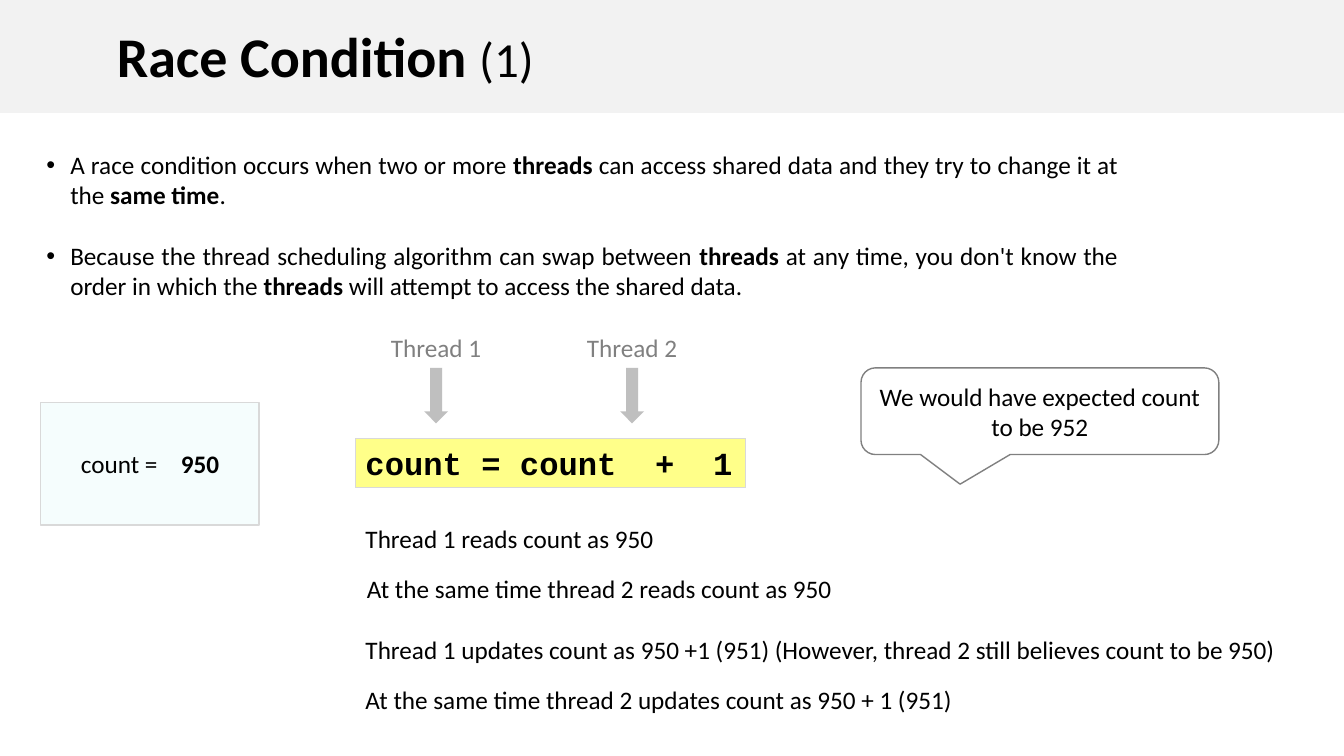
from dataclasses import dataclass

from lxml.etree import SubElement
from pptx import Presentation
from pptx.dml.color import RGBColor
from pptx.enum.shapes import MSO_SHAPE
from pptx.enum.text import MSO_ANCHOR, MSO_AUTO_SIZE, PP_ALIGN
from pptx.oxml.ns import qn
from pptx.shapes.autoshape import Shape
from pptx.slide import Slide
from pptx.text.text import _Paragraph
from pptx.util import Pt

HUES = {
    "ink": "000000", "band": "F2F2F2", "label": "808080", "arrow": "BFBFBF",
    "edge": "D9D9D9", "code": "FFFF89", "count": "F5FDFD", "paper": "FFFFFF",
}


@dataclass(frozen=True)
class Area:
    """Place of an item in points."""

    left: float
    top: float
    width: float
    height: float


@dataclass(frozen=True)
class Style:
    """Look of a text, with asterisks around its bold parts."""

    size: float = 18
    hue: str = "ink"
    font: str = "Calibri"
    align: PP_ALIGN = PP_ALIGN.LEFT


@dataclass(frozen=True)
class Note:
    """One step of the race."""

    text: str
    left: float
    top: float


PLAIN = Style()
MID = Style(align=PP_ALIGN.CENTER)
LABEL = Style(hue="label", align=PP_ALIGN.CENTER)
CODE = Style(size=23, font="Courier New")
THREADS = {"Thread 1": 311.5, "Thread 2": 451.5}
POINTS = [
    "A race condition occurs when two or more *threads* can access shared data "
    "and they try to change it at the *same time*.",
    "Because the thread scheduling algorithm can swap between *threads* at any time, "
    "you don't know the order in which the *threads* will attempt to access the shared data.",
]
NOTES = [
    Note("Thread 1 reads count as 950", 254, 370),
    Note("At the same time thread 2 reads count as 950", 255, 406),
    Note("Thread 1 updates count as 950 +1 (951) "
         "(However, thread 2 still believes count to be 950)", 254, 449.5),
    Note("At the same time thread 2 updates count as 950 + 1 (951)", 254, 485.5),
]


def tint(name: str) -> RGBColor:
    """Return a named colour."""
    return RGBColor.from_string(HUES[name])


def write(para: _Paragraph, text: str, style: Style) -> None:
    """Write text with bold parts into a paragraph."""
    para.alignment = style.align
    para.space_before = Pt(0)
    for order, part in enumerate(text.split("*")):
        if part:
            run = para.add_run()
            run.text = part
            run.font.name, run.font.size = style.font, Pt(style.size)
            run.font.bold = order % 2 == 1
            run.font.color.rgb = tint(style.hue)


def place(shape: Shape, area: Area) -> None:
    """Move and size a shape."""
    shape.left, shape.top = Pt(area.left), Pt(area.top)
    shape.width, shape.height = Pt(area.width), Pt(area.height)


def add_text(slide: Slide, area: Area, text: str, style: Style) -> None:
    """Add a text box of one paragraph."""
    box = slide.shapes.add_textbox(Pt(0), Pt(0), Pt(1), Pt(1))
    place(box, area)
    box.text_frame.word_wrap = style.align != PP_ALIGN.CENTER
    write(box.text_frame.paragraphs[0], text, style)


def add_form(slide: Slide, kind: MSO_SHAPE, area: Area, fill: str,
             edge: str = "", weight: float = 1) -> Shape:
    """Add a filled shape, with an outline if an edge is named."""
    form = slide.shapes.add_shape(kind, Pt(0), Pt(0), Pt(1), Pt(1))
    place(form, area)
    form.shadow.inherit = False
    form.fill.solid()
    form.fill.fore_color.rgb = tint(fill)
    if edge:
        form.line.color.rgb = tint(edge)
        form.line.width = Pt(weight)
    else:
        form.line.fill.background()
    return form


def add_head(slide: Slide) -> None:
    """Add the band and the title."""
    band = add_form(slide, MSO_SHAPE.RECTANGLE, Area(0, 0, 960, 80.6), "band")
    slide.shapes._spTree.insert(2, band._element)
    title = slide.shapes.title
    place(title, Area(76.3, -5, 718.6, 72.7))
    frame = title.text_frame
    frame.vertical_anchor = MSO_ANCHOR.BOTTOM
    frame.auto_size = MSO_AUTO_SIZE.NONE
    para = frame.paragraphs[0]
    para.line_spacing = 0.9
    write(para, "*Race Condition *", Style(size=40))
    write(para, "(1)", Style(size=35))


def add_points(slide: Slide) -> None:
    """Fill the body with the bulleted points."""
    body = slide.placeholders[1]
    place(body, Area(26, 103, 779.8, 116.6))
    frame = body.text_frame
    frame.auto_size = MSO_AUTO_SIZE.NONE
    for order, text in enumerate(POINTS):
        para = frame.add_paragraph() if order else frame.paragraphs[0]
        props = para._p.get_or_add_pPr()
        props.set("marL", str(Pt(17)))
        props.set("indent", str(-Pt(17)))
        SubElement(props, qn("a:buFont"), typeface="Arial")
        SubElement(props, qn("a:buChar"), char="•")
        write(para, text, Style(align=PP_ALIGN.JUSTIFY))
        para.space_before = Pt(22 * order)


def add_count(slide: Slide) -> None:
    """Add the box with the shared value."""
    box = add_form(slide, MSO_SHAPE.RECTANGLE, Area(28.8, 287.3, 156.3, 87.8),
                   "count", "edge")
    frame = box.text_frame
    frame.margin_left = Pt(29)
    frame.vertical_anchor = MSO_ANCHOR.MIDDLE
    para = frame.paragraphs[0]
    tabs = SubElement(para._p.get_or_add_pPr(), qn("a:tabLst"))
    SubElement(tabs, qn("a:tab"), pos=str(Pt(71.5)), algn="l")
    write(para, "count =\t*950*", PLAIN)


def add_race(slide: Slide) -> None:
    """Add the threads, the code, the steps and the callout."""
    code = add_form(slide, MSO_SHAPE.RECTANGLE, Area(254, 313.2, 278.6, 35.3),
                    "code", "edge", 0.75)
    code.text_frame.word_wrap = False
    code.text_frame.vertical_anchor = MSO_ANCHOR.TOP
    write(code.text_frame.paragraphs[0], "*count = count  +  1*", CODE)
    for name, mid in THREADS.items():
        add_text(slide, Area(mid - 40, 234, 80, 29), name, LABEL)
        add_form(slide, MSO_SHAPE.DOWN_ARROW, Area(mid - 8.6, 262.8, 17.2, 39.6), "arrow")
    for note in NOTES:
        add_text(slide, Area(note.left, note.top, 687, 29), note.text, PLAIN)
    call = add_form(slide, MSO_SHAPE.ROUNDED_RECTANGULAR_CALLOUT,
                    Area(615, 262.8, 255.6, 61.9), "paper", "label")
    for order, value in enumerate((-0.223, 0.842, 0.167)):
        call.adjustments[order] = value
    call.text_frame.vertical_anchor = MSO_ANCHOR.MIDDLE
    write(call.text_frame.paragraphs[0], "We would have expected count to be 952", MID)


def main() -> None:
    """Build and save the slide."""
    deck = Presentation()
    deck.slide_width, deck.slide_height = Pt(960), Pt(540)
    slide = deck.slides.add_slide(deck.slide_layouts[1])
    add_head(slide)
    add_points(slide)
    add_count(slide)
    add_race(slide)
    deck.save("out.pptx")


if __name__ == "__main__":
    main()
